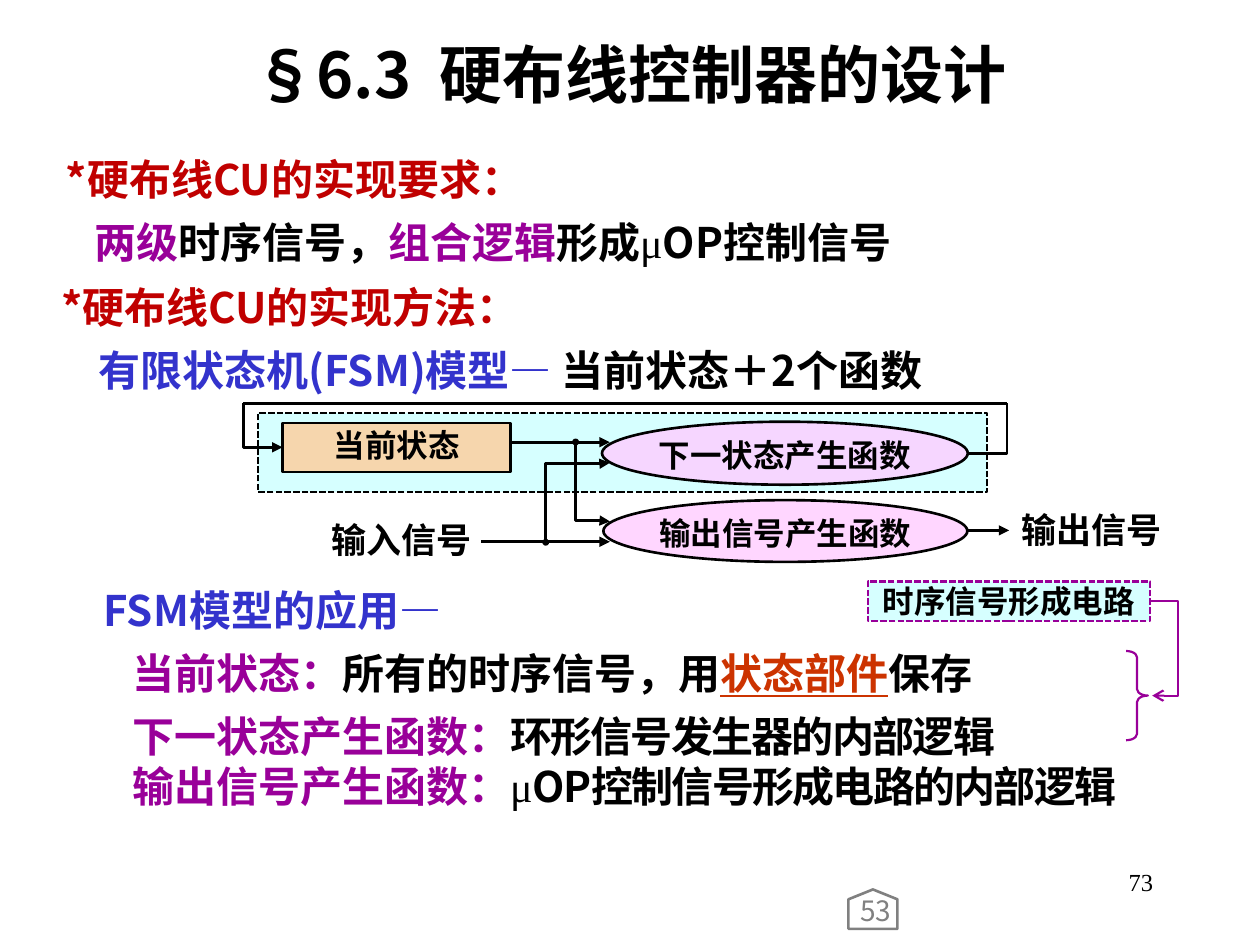
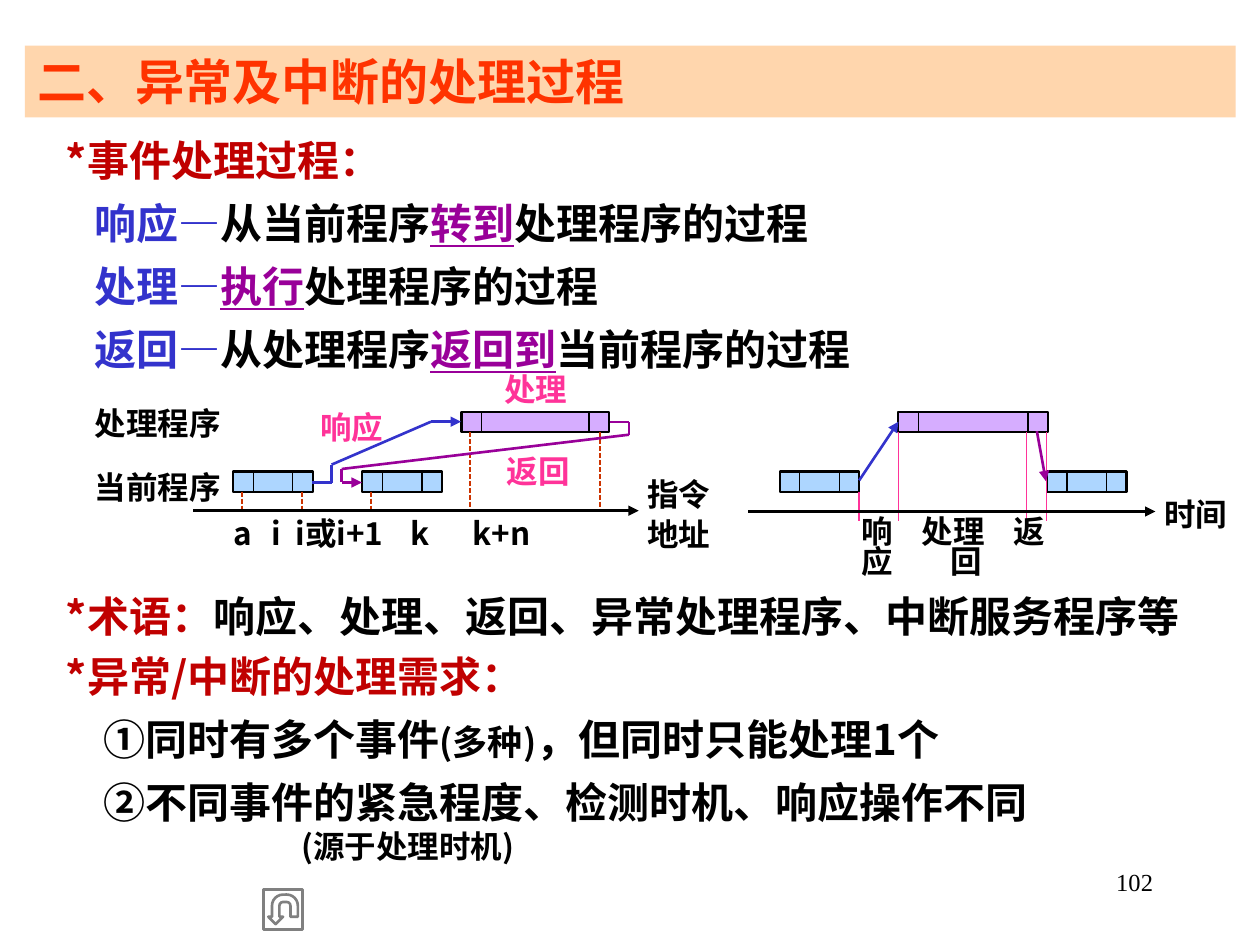
from dataclasses import dataclass
from lxml.etree import SubElement
from pptx import Presentation
from pptx.dml.color import RGBColor as Rgb
from pptx.enum.dml import MSO_LINE as Dash
from pptx.enum.shapes import MSO_CONNECTOR as Link, MSO_SHAPE as Kind
from pptx.enum.text import MSO_ANCHOR as Anchor, PP_ALIGN as Align
from pptx.oxml.ns import qn
from pptx.util import Pt


@dataclass(frozen=True)
class Theme:
    sans: str = "Noto Sans CJK SC"
    serif: str = "Times New Roman"
    ink: str = "000000"
    red: str = "C00000"
    plum: str = "990099"
    blue: str = "3333CC"
    rust: str = "CC3300"
    flame: str = "FF3300"
    pink: str = "FF3399"
    gray: str = "808080"
    aqua: str = "CCFFFF"
    peach: str = "FFCC99"
    rose: str = "FFCCFF"
    sky: str = "99CCFF"
    lilac: str = "CC99FF"
    title: int = 36
    band: int = 28
    body: int = 24
    label: int = 20
    small: int = 18
    icon: int = 16
    page: int = 14
    thin: float = 0.75
    edge: float = 1.25
    wire: float = 1.5


T = Theme()
LINE = {"under": True}
TIGHT = {"track": -100}
MU = {"font": T.serif, "bold": False}
HEAD, BODY, DEEP, ITEM = 16.2, 32.4, 37.8, 54  # left indents
SLIM = (1.5, 0.75, 1.5, 0.75)
WIDE = (7.2, 3.6, 7.2, 3.6)

# Paragraph: (indent, line spacing, runs); run: (text, colour, options)
TITLE = [(0, 1, [("§6.3", T.ink), (" ", T.ink, {"track": 800}),
                 ("硬布线控制器的设计", T.ink)])]
NEEDS = [
    (HEAD, 1.25, [("*硬布线CU的实现要求：", T.red)]),
    (BODY, 1.25, [("两级", T.plum), ("时序信号，", T.ink), ("组合逻辑", T.plum),
                  ("形成", T.ink), ("μ", T.ink, MU), ("OP控制信号", T.ink)]),
]
METHOD = [
    (HEAD, 1.25, [("*硬布线CU的实现方法：", T.red)]),
    (DEEP, 1.25, [("有限状态机(FSM)模型— ", T.blue), ("当前状态＋2个函数", T.ink)]),
]
USES = [
    (DEEP, 1.25, [("FSM模型的应用—", T.blue)]),
    (ITEM, 1.25, [("当前状态：", T.plum), ("所有的时序信号，用", T.ink),
                  ("状态部件", T.rust, LINE), ("保存", T.ink)]),
    (ITEM, 1.25, [("下一状态产生函数：", T.plum),
                  ("环形信号发生器的内部逻辑", T.ink, TIGHT)]),
    (ITEM, 1, [("输出信号产生函数：", T.plum), ("μ", T.ink, {**MU, **TIGHT}),
               ("OP控制信号形成电路的内部逻辑", T.ink, TIGHT)]),
]
FUNCS = [("下一状态产生函数", (344, 241, 209, 36)),
         ("输出信号产生函数", (344.8, 285.8, 208, 35.3))]
SIGNALS = [("输入信号", (184.3, 296, 90.5, 25)),
           ("输出信号", (575.5, 290, 97, 25))]
WIRES = [  # points, tail
    ([(292.3, 252.7), (348.5, 252.7)], "triangle"),
    ([(275, 309.6), (348.5, 309.6)], "triangle"),
    ([(553, 303.1), (576.7, 303.1)], "triangle"),
    ([(139, 230.4), (575.3, 230.4)], None),
]
ELBOWS = [  # box, turn, flips, bends, adjusts, head, tail
    ((316, 265.5, 45.4, 19.6), 270, "H", 3, [0.99], "oval", "triangle"),
    ((307.4, 268.9, 45.4, 36.6), 90, "HV", 3, [0.99], "oval", "triangle"),
    ((553, 230.4, 22.5, 28.8), 0, "V", 2, [], None, None),
    ((137.7, 231.8, 25.2, 22.4), 270, "H", 2, [], None, "triangle"),
]

BAND = [(0, 1, [("二、异常及中断的处理过程", T.flame)])]
STEPS = [
    (HEAD, 1.25, [("*事件处理过程：", T.red)]),
    (BODY, 1.25, [("响应—", T.blue), ("从当前程序", T.ink),
                  ("转到", T.plum, LINE), ("处理程序的过程", T.ink)]),
    (BODY, 1.25, [("处理—", T.blue), ("执行", T.plum, LINE),
                  ("处理程序的过程", T.ink)]),
    (BODY, 1.25, [("返回—", T.blue), ("从处理程序", T.ink),
                  ("返回到", T.plum, LINE), ("当前程序的过程", T.ink)]),
]
TERMS = [(HEAD, 1.25, [("*术语：", T.red),
                       ("响应、处理、返回、异常处理程序、中断服务程序等", T.ink)])]
ISSUES = [
    (HEAD, 1.25, [("*异常/中断的处理需求：", T.red)]),
    (DEEP, 1.25, [("①同时有多个事件", T.ink), ("(多种)", T.ink, {"size": T.label}),
                  ("，但同时只能处理1个", T.ink)]),
    (DEEP, 1.25, [("②不同事件的紧急程度、检测时机、响应操作不同", T.ink)]),
    (150.8, 1, [("(源于处理时机)", T.ink, {"size": T.small})]),
]
ROWS = [(0, 1, [("处理程序", T.ink)]), (0, 1.7, [("当前程序", T.ink)])]
ADDR = [(0, 1.05, [("指令", T.ink)]), (0, 1.05, [("地址", T.ink)])]
TIME = [(0, 1.05, [("时间", T.ink)])]
MARKS = [(0, 1, [("a\ti\ti或i+1\tk\tk+n", T.ink)])]
SPANS = [(0, 1, [("响\t处理\t返", T.ink)]), (0, 0.8, [("应\t回", T.ink)])]
PHASES = [("响应", 179, 231.4, 1.05), ("处理", 284.3, 213, 0.9),
          ("返回", 285.7, 256.4, 1.05)]
LOW, HIGH, THICK, CELL = 269.4, 235.4, 11.6, 11.4
BARS = [  # left, top, width, colour
    (133.3, LOW, 45.4, T.sky), (207.1, LOW, 45.4, T.sky),
    (263.8, HIGH, 84.2, T.lilac), (445.6, LOW, 45.4, T.sky),
    (513.3, HIGH, 85.5, T.lilac), (598.3, LOW, 45.4, T.sky),
]
FLOWS = [
    ([(110.3, 291.8), (365, 291.8)], T.ink),
    ([(427.6, 292.3), (660.3, 292.3)], T.ink),
    ([(178.5, 275.8), (189.5, 275.8), (189.5, 265.5), (246.3, 241),
      (263.5, 241)], T.blue),
    ([(348.4, 241.2), (359.4, 241.2), (359.4, 248.4), (195.3, 268),
      (195.3, 275.7), (206.8, 275.7)], T.plum),
    ([(491, 274.5), (513.4, 241)], T.blue),
    ([(592.5, 246.4), (597.7, 275)], T.plum),
]
DROPS = [(138.2, LOW), (172.6, LOW), (212.2, LOW), (268.7, HIGH), (342.7, HIGH)]
CUTS = [(490.8, LOW), (513.3, HIGH), (586.8, HIGH), (598, HIGH)]


def write(shape, paras, size=T.body, align=Align.LEFT, mid=False,
          inset=WIDE, bold=True, font=T.sans, tabs=None):
    frame = shape.text_frame
    frame.word_wrap = True
    frame.vertical_anchor = Anchor.MIDDLE if mid else Anchor.TOP
    (frame.margin_left, frame.margin_top,
     frame.margin_right, frame.margin_bottom) = map(Pt, inset)
    for n, (indent, space, runs) in enumerate(paras):
        para = frame.add_paragraph() if n else frame.paragraphs[0]
        para.alignment, para.line_spacing = align, space
        props = para._p.get_or_add_pPr()
        props.set("marL", str(Pt(indent)))
        if tabs:
            stops = SubElement(props, qn("a:tabLst"))
            for pos in tabs[n]:
                SubElement(stops, qn("a:tab"), pos=str(Pt(pos)), algn="l")
        for text, color, *more in runs:
            opts = more[0] if more else {}
            run = para.add_run()
            run.text = text
            run.font.size = Pt(opts.get("size", size))
            run.font.bold = opts.get("bold", bold)
            run.font.name = opts.get("font", font)
            run.font.color.rgb = Rgb.from_string(color)
            if "under" in opts:
                run.font.underline = True
            attrs = run._r.get_or_add_rPr()
            if "track" in opts:
                attrs.set("spc", str(opts["track"]))
            SubElement(attrs, qn("a:ea"), typeface=T.sans)


def label(slide, box, paras, **style):
    write(slide.shapes.add_textbox(*map(Pt, box)), paras, **style)


def tag(slide, box, text, color=T.ink, space=1, **style):
    """Add a one-line centred label."""
    label(slide, box, [(0, space, [(text, color)])], align=Align.CENTER, **style)


def draw(slide, kind, box, fill=None, line=None, width=T.wire, dash=False):
    shape = slide.shapes.add_shape(kind, *map(Pt, box))
    shape.shadow.inherit = False
    if fill:
        shape.fill.solid()
        shape.fill.fore_color.rgb = Rgb.from_string(fill)
        tint = shape.fill._xPr.find(qn("a:solidFill"))[0]
        SubElement(tint, qn("a:alpha"), val="80000")
    else:
        shape.fill.background()
    if line:
        shape.line.color.rgb = Rgb.from_string(line)
        shape.line.width = Pt(width)
        if dash:
            shape.line.dash_style = Dash.SQUARE_DOT
    else:
        shape.line.fill.background()
    return shape


def join(slide, kind, start, end, color=T.ink, width=T.wire, head=None,
         tail=None, dash=False):
    wire = slide.shapes.add_connector(kind, *map(Pt, start + end))
    wire.line.color.rgb = Rgb.from_string(color)
    wire.line.width = Pt(width)
    if dash:
        wire.line.dash_style = Dash.SQUARE_DOT
    stroke = wire.line._get_or_add_ln()
    for name, tip in (("a:headEnd", head), ("a:tailEnd", tail)):
        if tip:
            size = "sm" if tip == "oval" else "med"
            SubElement(stroke, qn(name), type=tip, w=size, len=size)
    SubElement(wire._element.spPr, qn("a:effectLst"))
    return wire


def trace(slide, points, color=T.ink, width=T.wire, tail=None, dash=False):
    """Join points with straight connectors; the last one gets the tail."""
    for start, end in zip(points, points[1:]):
        tip = tail if end == points[-1] else None
        join(slide, Link.STRAIGHT, start, end, color, width, None, tip, dash)


def elbow(slide, box, turn, flips, bends, adjusts, head, tail, **style):
    """Add a bent connector from its unturned box, turn and flips."""
    x, y, width, height = box
    wire = join(slide, Link.ELBOW, (x, y), (x + width, y + height),
                head=head, tail=tail, **style)
    props = wire._element.spPr
    frame, shape = props.find(qn("a:xfrm")), props.find(qn("a:prstGeom"))
    frame.set("rot", str(turn * 60000))
    for axis in flips:
        frame.set("flip" + axis, "1")
    shape.set("prst", f"bentConnector{bends}")
    guides = shape.find(qn("a:avLst"))
    if guides is None:
        guides = SubElement(shape, qn("a:avLst"))
    for n, value in enumerate(adjusts, 1):
        SubElement(guides, qn("a:gd"), name=f"adj{n}",
                   fmla=f"val {round(value * 100000)}")


def start(deck, page):
    slide = deck.slides.add_slide(deck.slide_layouts[6])
    label(slide, (516, 492, 150, 36), [(0, 1, [(page, T.ink)])], size=T.page,
          align=Align.RIGHT, bold=False, font=T.serif)
    return slide


def design(deck):
    slide = start(deck, "73")
    label(slide, (66, 16.5, 588, 50.5), TITLE, size=T.title, align=Align.CENTER)
    label(slide, (14.4, 77, 692, 80), NEEDS)
    label(slide, (11.6, 150.2, 692, 80), METHOD)
    label(slide, (14.4, 323.3, 692, 145.5), USES)

    draw(slide, Kind.RECTANGLE, (147.4, 236, 416.8, 45.3), T.aqua, T.ink,
         T.edge, dash=True)
    state = draw(slide, Kind.RECTANGLE, (161.4, 241.8, 130.5, 28), T.peach, T.ink)
    write(state, [(0, 0.9, [("当前状态", T.ink)])], size=T.small,
          align=Align.CENTER, mid=True, inset=SLIM)
    for text, box in FUNCS:
        func = draw(slide, Kind.OVAL, box, T.rose, T.ink)
        write(func, [(0, 1, [(text, T.ink)])], size=T.small,
              align=Align.CENTER, inset=(0, 3, 0, 3))
    for text, box in SIGNALS:
        tag(slide, box, text, size=T.label, mid=True, inset=SLIM)
    for points, tail in WIRES:
        trace(slide, points, tail=tail)
    for bend in ELBOWS:
        elbow(slide, *bend)

    brace = draw(slide, Kind.RIGHT_BRACE, (643.5, 372, 12.5, 51),
                 line=T.plum, width=T.edge)
    brace.adjustments[0] = 0.29
    timing = draw(slide, Kind.RECTANGLE, (495.8, 332.3, 161.5, 22.5), T.aqua,
                  T.plum, T.edge, dash=True)
    write(timing, [(0, 1, [("时序信号形成电路", T.ink)])], size=T.small,
          align=Align.CENTER, mid=True)
    elbow(slide, (657.4, 343.5, 1, 54), 0, "", 4, [15.8, 1], None, "arrow",
          color=T.plum, width=T.edge)

    house = draw(slide, Kind.PENTAGON, (487.6, 505.5, 22.5, 28), line=T.gray)
    house.rotation = 270
    house.adjustments[0] = 0.25
    tag(slide, (487.8, 513.8, 22.5, 17.5), "53", T.gray, 0.85, size=T.icon,
        bold=False, inset=(3, 0, 0, 0))


def events(deck):
    slide = start(deck, "102")
    band = draw(slide, Kind.RECTANGLE, (14.2, 26.1, 692, 41), T.peach)
    write(band, BAND, size=T.band)
    label(slide, (14.4, 66.1, 692, 152.5), STEPS)
    label(slide, (14.4, 326.7, 692, 44), TERMS)
    label(slide, (14.4, 360.9, 692, 138), ISSUES)

    for left, top, width, color in BARS:
        draw(slide, Kind.RECTANGLE, (left, top, width, THICK), color, T.ink,
             T.edge)
        for x in (left + CELL, left + width - CELL):
            trace(slide, [(x, top), (x, top + THICK)], width=T.thin)
    for x, top in DROPS:
        trace(slide, [(x, top + THICK), (x, 292)], T.rust, 1, dash=True)
    for x, top in CUTS:
        trace(slide, [(x, top + THICK), (x, 298)], T.pink, T.thin)
    for points, color in FLOWS:
        trace(slide, points, color, tail="triangle")

    note = {"size": T.small, "inset": SLIM}
    label(slide, (47.5, 229.9, 80, 57), ROWS, align=Align.RIGHT, **note)
    label(slide, (365, 271.2, 45.5, 44), ADDR, align=Align.CENTER, mid=True,
          **note)
    label(slide, (660.4, 281, 45.5, 23), TIME, align=Align.CENTER, **note)
    label(slide, (132, 294.1, 290.5, 21), MARKS, mid=True,
          tabs=[(21.5, 35.5, 101, 136.6)], **note)
    label(slide, (491, 291.5, 114, 40.5), SPANS, mid=True,
          tabs=[(34.2, 86.6), (50.5,)], **note)
    for text, left, top, space in PHASES:
        tag(slide, (left, top, 44, 22), text, T.pink, space, **note)

    back = draw(slide, Kind.ACTION_BUTTON_RETURN, (150.5, 508.1, 22.5, 23),
                line=T.gray)
    back.rotation = 180


def main():
    deck = Presentation()
    deck.slide_width, deck.slide_height = Pt(720), Pt(540)
    design(deck)
    events(deck)
    deck.save("out.pptx")


if __name__ == "__main__":
    main()
